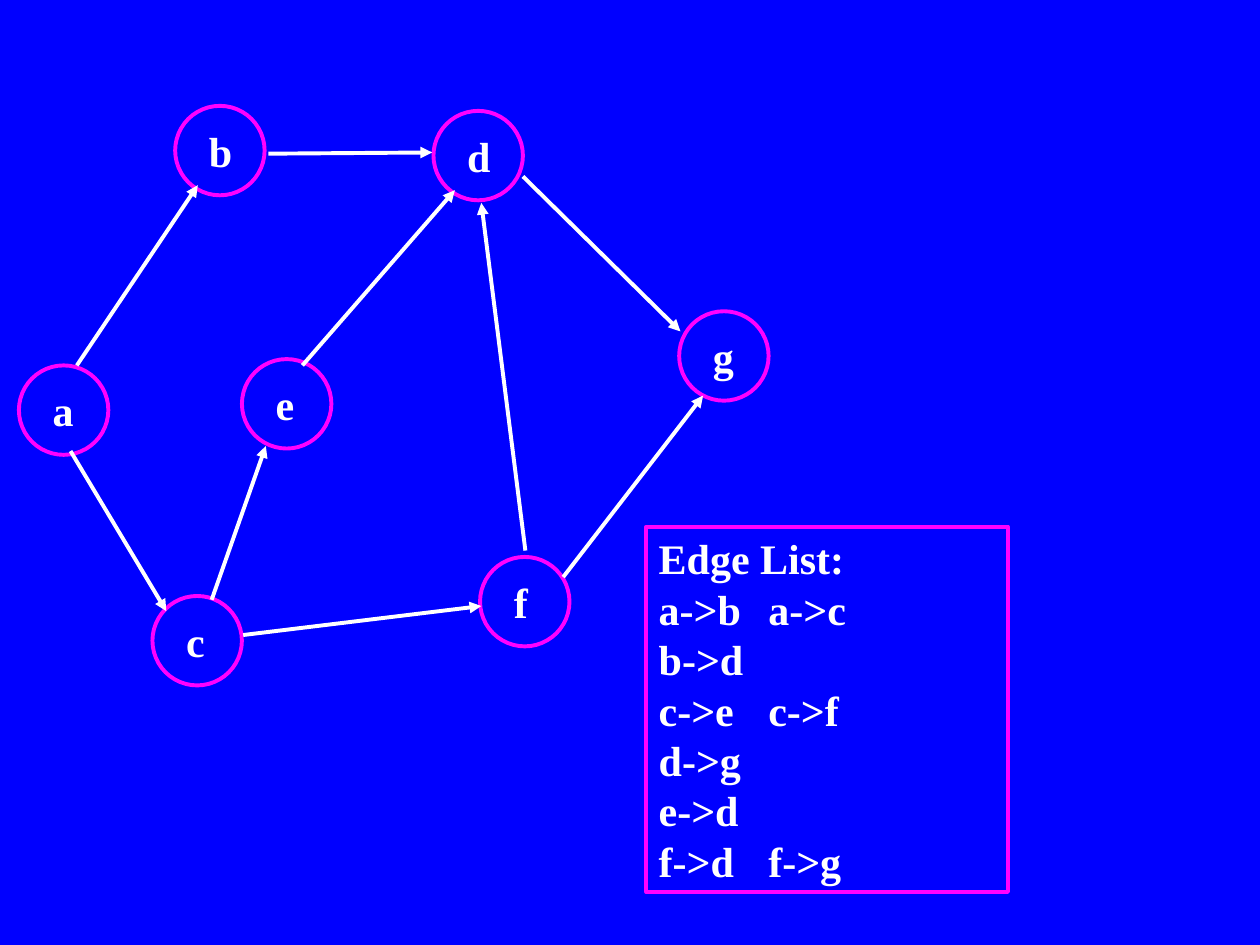
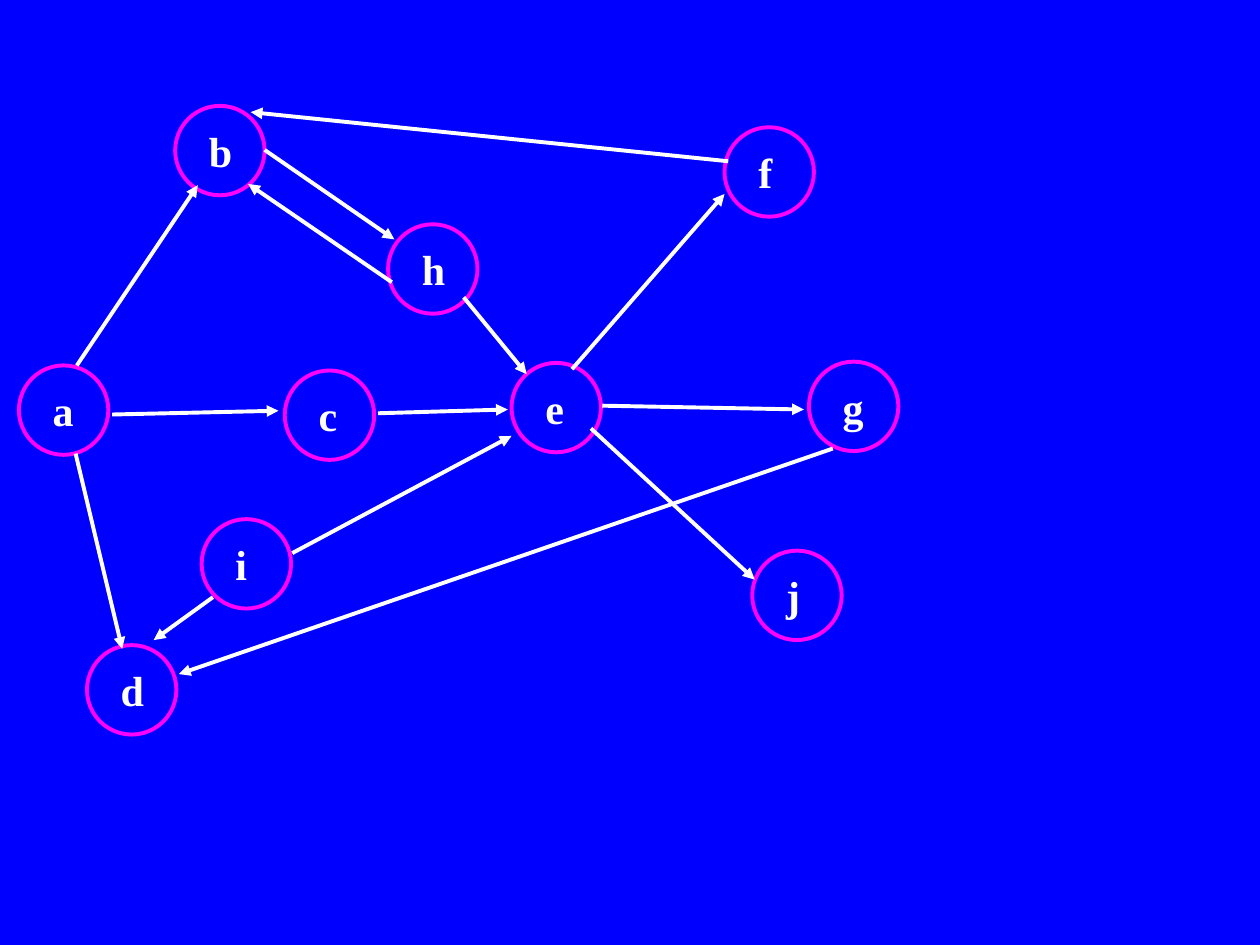
from itertools import groupby

from lxml import etree
from pptx import Presentation
from pptx import util as u
from pptx.dml.color import RGBColor
from pptx.enum import shapes, text
from pptx.oxml import ns

BLUE = RGBColor(0x00, 0x00, 0xFF)
MAGENTA = RGBColor(0xFF, 0x00, 0xFF)
WHITE = RGBColor(0xFF, 0xFF, 0xFF)

SLIDE_SIZE = (10, 7.5)
FONT = {"name": "Times New Roman", "size": u.Pt(24), "bold": True}
LINE_PITCH = u.Pt(28.8)
LINE_WIDTH = u.Pt(2.25)
NODE_SIZE = 0.71
LABEL_SIZE = (0.37, 0.5)
SECOND_EDGE_TAB = 0.87

# Parts that both graphs share: node name -> left, top; edge -> start, end
SHARED_NODES = {"a": (0.15, 2.9), "b": (1.39, 0.84)}
SHARED_EDGES = {"a->b": ((0.61, 2.9), (1.57, 1.47))}

ACYCLIC_GRAPH = {
    "nodes": {
        "c": (1.21, 4.73), "d": (3.44, 0.88), "e": (1.92, 2.85),
        "f": (3.81, 4.42), "g": (5.39, 2.47),
    },
    "edges": {
        "a->c": ((0.56, 3.58), (1.32, 4.85)),
        "b->d": ((2.13, 1.22), (3.43, 1.21)),
        "c->e": ((1.68, 4.76), (2.11, 3.54)),
        "c->f": ((1.93, 5.04), (3.82, 4.81)),
        "d->g": ((4.15, 1.4), (5.4, 2.63)),
        "e->d": ((2.4, 2.9), (3.61, 1.51)),
        "f->d": ((4.17, 4.37), (3.82, 1.61)),
        "f->g": ((4.47, 4.58), (5.58, 3.14)),
    },
    "edge_list_box": (5.13, 4.18, 2.87, 2.9),
}
CYCLIC_GRAPH = {
    "nodes": {
        "c": (2.26, 2.94), "d": (0.69, 5.12), "e": (4.06, 2.88),
        "f": (5.75, 1.01), "g": (6.42, 2.87), "h": (3.08, 1.78),
        "i": (1.6, 4.12), "j": (5.97, 4.37),
    },
    "edges": {
        "a->c": ((0.89, 3.29), (2.21, 3.26)),
        "a->d": ((0.6, 3.6), (0.97, 5.15)),
        "b->h": ((2.1, 1.19), (3.13, 1.9)),
        "c->e": ((3, 3.28), (4.03, 3.25)),
        "e->f": ((4.54, 2.93), (5.75, 1.54)),
        "e->g": ((4.78, 3.22), (6.38, 3.25)),
        "e->j": ((4.69, 3.4), (5.99, 4.6)),
        "f->b": ((5.78, 1.28), (1.99, 0.89)),
        "g->d": ((6.61, 3.56), (1.42, 5.35)),
        "h->b": ((3.11, 2.24), (1.97, 1.46)),
        "h->e": ((3.68, 2.36), (4.18, 2.97)),
        "i->d": ((1.69, 4.74), (1.22, 5.08)),
        "i->e": ((2.32, 4.39), (4.06, 3.46)),
    },
}


def inches(*lengths):
    return [u.Inches(length) for length in lengths]


def add_outline(parent, preset, left, top, width, height):
    """Add an unfilled shape with the magenta outline."""
    outline = parent.add_shape(preset, *inches(left, top, width, height))
    outline.shadow.inherit = False
    outline.fill.background()
    outline.line.color.rgb = MAGENTA
    outline.line.width = LINE_WIDTH
    return outline


def write_lines(frame, lines):
    frame.word_wrap = True
    frame.auto_size = text.MSO_AUTO_SIZE.SHAPE_TO_FIT_TEXT
    frame.vertical_anchor = text.MSO_ANCHOR.TOP
    frame.text = "\n".join(lines)
    for line in frame.paragraphs:
        line.alignment = text.PP_ALIGN.LEFT
        line.line_spacing = LINE_PITCH
        for run in line.runs:
            for key, value in FONT.items():
                setattr(run.font, key, value)
            run.font.color.rgb = WHITE


def add_node(slide, name, left, top):
    node = slide.shapes.add_group_shape().shapes
    add_outline(node, shapes.MSO_SHAPE.OVAL, left, top, NODE_SIZE, NODE_SIZE)
    label_left, label_top = (
        start + (NODE_SIZE - length) / 2
        for start, length in zip((left, top), LABEL_SIZE))
    label = node.add_textbox(*inches(label_left, label_top, *LABEL_SIZE))
    write_lines(label.text_frame, [name])


def add_edge(slide, start, end):
    edge = slide.shapes.add_connector(
        shapes.MSO_CONNECTOR.STRAIGHT, *inches(*start, *end))
    edge.line.color.rgb = WHITE
    edge.line.width = LINE_WIDTH
    etree.SubElement(edge.line._get_or_add_ln(), ns.qn("a:tailEnd"), type="triangle")
    etree.SubElement(edge._element.spPr, ns.qn("a:effectLst"))


def add_edge_list(slide, edges, box):
    """List the edges in a box, one line for each source node."""
    rows = ["\t".join(group) for _, group in groupby(sorted(edges), lambda edge: edge[0])]
    frame = add_outline(slide.shapes, shapes.MSO_SHAPE.RECTANGLE, *box).text_frame
    write_lines(frame, ["Edge List:", *rows])
    for line in frame.paragraphs:
        tabs = etree.SubElement(line._p.get_or_add_pPr(), ns.qn("a:tabLst"))
        etree.SubElement(tabs, ns.qn("a:tab"),
                         pos=str(u.Inches(SECOND_EDGE_TAB)), algn="l")


def add_graph_slide(deck, graph):
    slide = deck.slides.add_slide(deck.slide_layouts[6])
    nodes = {**SHARED_NODES, **graph["nodes"]}
    edges = {**SHARED_EDGES, **graph["edges"]}
    for name, corner in nodes.items():
        add_node(slide, name, *corner)
    for ends in edges.values():
        add_edge(slide, *ends)
    if "edge_list_box" in graph:
        add_edge_list(slide, edges, graph["edge_list_box"])


def main():
    deck = Presentation()
    deck.slide_width, deck.slide_height = inches(*SLIDE_SIZE)
    backdrop = deck.slide_master.background.fill
    backdrop.solid()
    backdrop.fore_color.rgb = BLUE
    for graph in (ACYCLIC_GRAPH, CYCLIC_GRAPH):
        add_graph_slide(deck, graph)
    deck.save("out.pptx")


if __name__ == "__main__":
    main()
